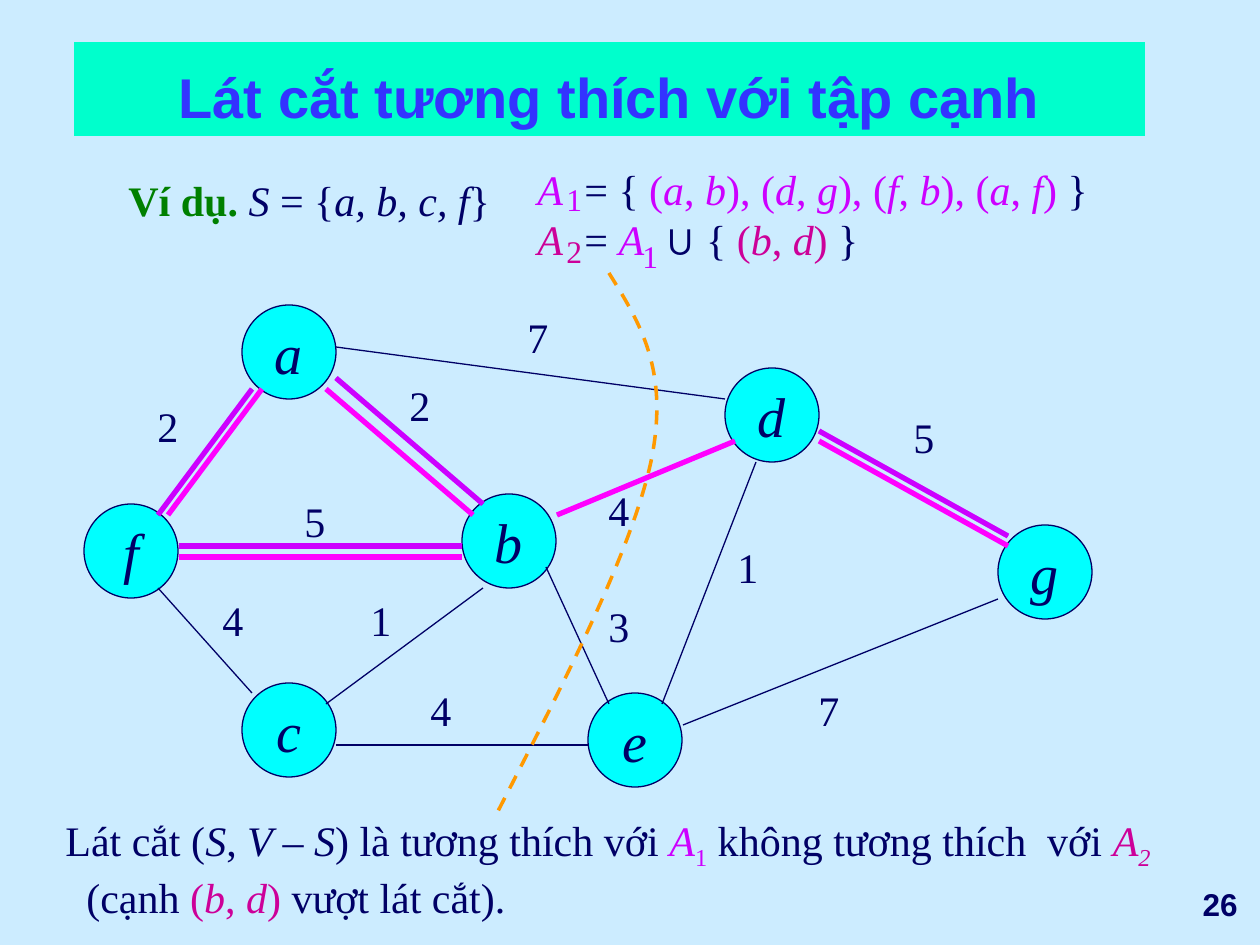
import itertools

import lxml.etree
import pptx
import pptx.dml.color
import pptx.enum.dml
import pptx.enum.shapes
import pptx.enum.text
import pptx.oxml.ns
import pptx.util

PX = 914400 / 126
SERIF, SANS = "Times New Roman", "Arial"
COLOURS = {
    "background": "CCECFF", "banner": "00FFCC", "title": "3333FF",
    "ink": "000066", "node": "00FFFF", "lead": "008000",
    "first": "CC00FF", "second": "CC0099", "second_edge": "FF00FF",
    "cut": "FF9900",
}


def formula(text, colour):
    """Split text into runs, with the letters in italics."""
    return [("".join(part), colour, "i" if letter else "")
            for letter, part in itertools.groupby(text, str.isalpha)]


TITLE = "Lát cắt tương thích với tập cạnh"
PAGE = "26"
NODE_SIZE = 94
NODES = {"f": (84, 504), "d": (725, 368), "a": (242, 305), "b": (462, 494),
         "c": (242, 683), "e": (588, 693), "g": (998, 525)}

# Edges of the first set: line ends, then the shift of the parallel second line
FIRST_SET = [
    ((819, 431, 1008, 536), (0, 10)),
    ((252, 389, 158, 515), (10, 0)),
    ((179, 546, 462, 546), (0, 11)),
    ((336, 378, 483, 504), (-10, 11)),
]
CROSSING_EDGE = (557, 515, 735, 441)
OTHER_EDGES = [
    (483, 588, 326, 704), (158, 588, 252, 693), (336, 347, 725, 399),
    (546, 567, 609, 704), (336, 745, 588, 745), (756, 462, 662, 704),
    (683, 725, 998, 599),
]
WEIGHTS = [
    ("2", 145, 394), ("7", 515, 305), ("5", 901, 405), ("7", 806, 678),
    ("1", 725, 535), ("4", 596, 478), ("1", 358, 588), ("3", 596, 594),
    ("4", 418, 678), ("4", 210, 588), ("5", 292, 489), ("2", 397, 373),
]
SUBSCRIPTS = [("1", 554, 174, "first"), ("2", 554, 226, "second"),
              ("1", 630, 231, "first")]
# Start point, then two control points and an end point for each curve
CUT = [(609, 273), (640, 323), (670, 370), (651, 462),
       (631, 553), (563, 685), (494, 819)]

EXAMPLE = [[("Ví dụ.", "lead", "b"), (" S", "ink", "i"), (" = {", "ink", ""),
            ("a, b, c, f", "ink", "i"), ("}", "ink", "")]]
SETS = [
    [("A", "first", "i"), ("\t= { ", "ink", ""),
     *formula("(a, b), (d, g), (f, b), (a, f)", "first"), (" }", "ink", "")],
    [("A", "second", "i"), ("\t= ", "ink", ""), ("A", "first", "i"),
     ("\t", "ink", ""), ("∪", "ink", "", SANS), (" { ", "ink", ""),
     *formula("(b, d)", "second"), (" }", "ink", "")],
]
SET_TABS = (47, 128)
CONCLUSION = [
    [("Lát cắt (", "ink", ""), ("S", "ink", "i"), (", ", "ink", ""),
     ("V ", "ink", "i"), ("– ", "ink", ""), ("S", "ink", "i"),
     (") là tương thích với ", "ink", ""), ("A", "first", "i"),
     ("1", "first", "s"), (" không tương thích  với ", "ink", ""),
     ("A", "second", "i"), ("2", "second", "is")],
    [("(cạnh ", "ink", ""), *formula("(b, d)", "second"),
     (" vượt lát cắt).", "ink", "")],
]


def px(value):
    return pptx.util.Emu(round(value * PX))


def rgb(name):
    return pptx.dml.color.RGBColor.from_string(COLOURS[name])


def add_run(paragraph, text, colour, style="", font=SERIF, size=24):
    """Add a run; style holds b for bold, i for italic, s for subscript."""
    run = paragraph.add_run()
    run.text = text
    run.font.name = font
    run.font.size = pptx.util.Pt(size)
    run.font.bold = "b" in style
    run.font.italic = "i" in style
    run.font.color.rgb = rgb(colour)
    if "s" in style:
        run.font._element.set("baseline", "-25000")


def add_text(slide, box, paragraphs, wrap=True, size=24, tabs=(), indent=0):
    """Add a text box; indent applies to paragraphs after the first."""
    shape = slide.shapes.add_textbox(*map(px, box))
    frame = shape.text_frame
    frame.word_wrap = wrap
    frame.auto_size = pptx.enum.text.MSO_AUTO_SIZE.SHAPE_TO_FIT_TEXT
    for index, runs in enumerate(paragraphs):
        paragraph = frame.add_paragraph() if index else frame.paragraphs[0]
        properties = paragraph._p.get_or_add_pPr()
        if tabs:
            tab_list = lxml.etree.SubElement(properties, pptx.oxml.ns.qn("a:tabLst"))
            for position in tabs:
                lxml.etree.SubElement(tab_list, pptx.oxml.ns.qn("a:tab"),
                                      pos=str(px(position)), algn="l")
        if index and indent:
            properties.set("marL", str(px(indent)))
        for run in runs:
            add_run(paragraph, *run, size=size)
    return shape


def add_edge(shapes, ends, colour="ink", width=0.75):
    line = shapes.add_connector(pptx.enum.shapes.MSO_CONNECTOR.STRAIGHT, *map(px, ends))
    line.line.color.rgb = rgb(colour)
    line.line.width = pptx.util.Pt(width)
    lxml.etree.SubElement(line._element.spPr, pptx.oxml.ns.qn("a:effectLst"))


def add_node(slide, name, left, top):
    node = slide.shapes.add_shape(pptx.enum.shapes.MSO_SHAPE.OVAL,
                                  *map(px, (left, top, NODE_SIZE, NODE_SIZE)))
    node.shadow.inherit = False
    node.fill.solid()
    node.fill.fore_color.rgb = rgb("node")
    node.line.color.rgb = rgb("ink")
    node.line.width = pptx.util.Pt(0.75)
    frame = node.text_frame
    frame.word_wrap = False
    frame.vertical_anchor = pptx.enum.text.MSO_ANCHOR.MIDDLE
    frame.paragraphs[0].alignment = pptx.enum.text.PP_ALIGN.CENTER
    add_run(frame.paragraphs[0], name, "ink", "i", size=32)


def add_cut(slide):
    builder = slide.shapes.build_freeform(*CUT[0], scale=PX)
    builder.add_line_segments(CUT[1:], close=False)
    cut = builder.convert_to_shape()
    cut.shadow.inherit = False
    cut.fill.background()
    cut.line.color.rgb = rgb("cut")
    cut.line.width = pptx.util.Pt(2)
    cut.line.dash_style = pptx.enum.dml.MSO_LINE.DASH
    segments = list(cut._element.iter(pptx.oxml.ns.qn("a:lnTo")))
    outline = segments[0].getparent()
    for start in range(0, len(segments), 3):
        curve = lxml.etree.SubElement(outline, pptx.oxml.ns.qn("a:cubicBezTo"))
        for segment in segments[start:start + 3]:
            curve.append(segment[0])
            outline.remove(segment)


def main():
    presentation = pptx.Presentation()
    presentation.slide_width, presentation.slide_height = px(1260), px(945)
    slide = presentation.slides.add_slide(presentation.slide_layouts[5])
    slide.background.fill.solid()
    slide.background.fill.fore_color.rgb = rgb("background")

    title = slide.shapes.title
    title.left, title.top, title.width, title.height = map(px, (74, 42, 1071, 94))
    title.fill.solid()
    title.fill.fore_color.rgb = rgb("banner")
    title.text_frame.auto_size = pptx.enum.text.MSO_AUTO_SIZE.NONE
    title.text_frame.vertical_anchor = pptx.enum.text.MSO_ANCHOR.BOTTOM
    title.text_frame.paragraphs[0].alignment = pptx.enum.text.PP_ALIGN.CENTER
    add_run(title.text_frame.paragraphs[0], TITLE, "title", "b", SANS, 32)

    page = add_text(slide, (1008, 872, 242, 63), [[(PAGE, "ink", "b", SANS)]],
                    wrap=False, size=18)
    page.text_frame.auto_size = pptx.enum.text.MSO_AUTO_SIZE.NONE
    page.text_frame.vertical_anchor = pptx.enum.text.MSO_ANCHOR.MIDDLE
    page.text_frame.paragraphs[0].alignment = pptx.enum.text.PP_ALIGN.RIGHT

    for name, (left, top) in NODES.items():
        add_node(slide, name, left, top)
    first_edges = [ends for ends, shift in FIRST_SET]
    for ends in [*first_edges, CROSSING_EDGE, *OTHER_EDGES]:
        add_edge(slide.shapes, ends)
    for weight, left, top in WEIGHTS:
        add_text(slide, (left, top, 45, 63), [[(weight, "ink")]], wrap=False)
    add_cut(slide)

    add_text(slide, (116, 168, 400, 63), EXAMPLE)
    add_text(slide, (525, 157, 600, 113), SETS, tabs=SET_TABS)
    for digit, left, top, colour in SUBSCRIPTS:
        add_text(slide, (left, top, 40, 50), [[(digit, colour)]], size=18)
    add_text(slide, (53, 808, 1176, 121), CONCLUSION, indent=21)

    second_edges = [(x1 + dx, y1 + dy, x2 + dx, y2 + dy)
                    for (x1, y1, x2, y2), (dx, dy) in FIRST_SET]
    for edges, colour in (([*second_edges, CROSSING_EDGE], "second_edge"),
                          (first_edges, "first")):
        group = slide.shapes.add_group_shape()
        for ends in edges:
            add_edge(group.shapes, ends, colour, 3)

    presentation.save("out.pptx")


if __name__ == "__main__":
    main()
